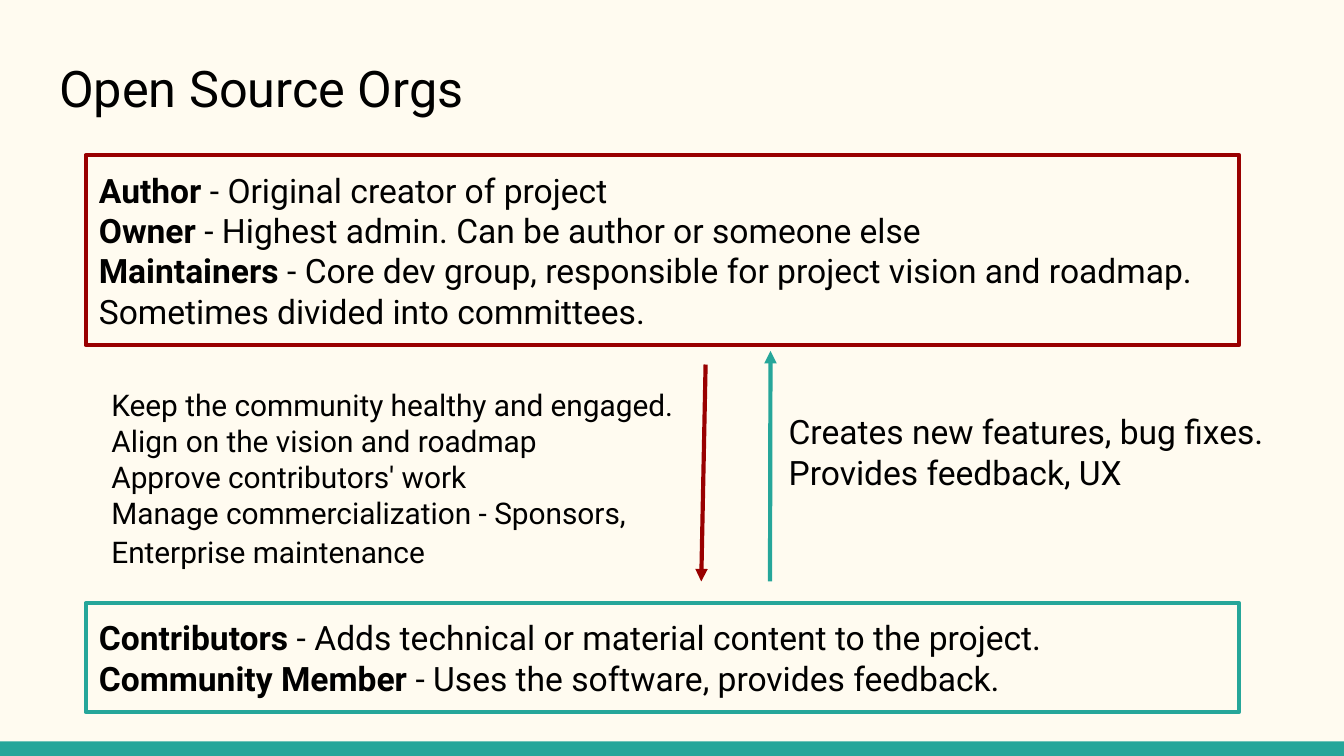
from dataclasses import dataclass

from lxml import etree
from pptx import Presentation
from pptx.dml.color import RGBColor
from pptx.enum.shapes import MSO_CONNECTOR, MSO_SHAPE
from pptx.enum.text import MSO_ANCHOR, MSO_AUTO_SIZE, PP_ALIGN
from pptx.oxml.ns import qn
from pptx.shapes.autoshape import Shape
from pptx.slide import Slide
from pptx.util import Pt

RECTANGLE = MSO_SHAPE.RECTANGLE
STRAIGHT = MSO_CONNECTOR.STRAIGHT
MIDDLE = MSO_ANCHOR.MIDDLE
TOP = MSO_ANCHOR.TOP
LEFT = PP_ALIGN.LEFT
FIT_SHAPE = MSO_AUTO_SIZE.SHAPE_TO_FIT_TEXT
FIXED = MSO_AUTO_SIZE.NONE


@dataclass(frozen=True)
class Theme:
    font: str = "Roboto"
    background: RGBColor = RGBColor(0xFF, 0xFB, 0xF0)
    ink: RGBColor = RGBColor(0, 0, 0)
    leaders: RGBColor = RGBColor(0x99, 0, 0)
    community: RGBColor = RGBColor(0x26, 0xA6, 0x9A)
    title_size: float = 27
    body_size: float = 18
    duty_size: float = 16
    inset: float = 7.2
    stroke: float = 2.25


@dataclass(frozen=True)
class Run:
    text: str
    size: float
    bold: bool = False


@dataclass(frozen=True)
class Area:
    left: float
    top: float
    width: float
    height: float


@dataclass(frozen=True)
class RoleGroup:
    area: Area
    color: RGBColor
    roles: list[tuple[str, str]]


@dataclass(frozen=True)
class Note:
    area: Area
    paragraphs: list[list[Run]]
    anchor: MSO_ANCHOR = TOP
    fit: MSO_AUTO_SIZE = FIT_SHAPE


@dataclass(frozen=True)
class Arrow:
    start: tuple[float, float]
    end: tuple[float, float]
    color: RGBColor


THEME = Theme()
BODY, DUTY = THEME.body_size, THEME.duty_size

ROLE_GROUPS = [
    RoleGroup(Area(45.9, 83.2, 618, 101.7), THEME.leaders, [
        ("Author ", "- Original creator of project"),
        ("Owner ", "- Highest admin. Can be author or someone else"),
        ("Maintainers ", "- Core dev group, responsible for project vision and "
                         "roadmap. Sometimes divided into committees."),
    ]),
    RoleGroup(Area(45.9, 323.2, 618, 58.2), THEME.community, [
        ("Contributors ", "- Adds technical or material content to the project."),
        ("Community Member ", "- Uses the software, provides feedback."),
    ]),
]

NOTES = [
    Note(Area(24.6, 23, 671, 48), [[Run("Open Source Orgs", THEME.title_size)]],
         MIDDLE, FIXED),
    Note(Area(415.4, 213.2, 289, 58.2), [
        [Run("Creates new features, bug fixes.", BODY)],
        [Run("Provides feedback, UX", BODY)],
    ]),
    Note(Area(52.6, 200, 316, 113.8), [
        [Run("Keep the community healthy and engaged.", DUTY)],
        [Run("Align on the vision and roadmap", DUTY)],
        [Run("Approve contributors' work", DUTY)],
        [Run("Manage commercialization - Sponsors, Enterprise maintenance", DUTY),
         Run(" ", BODY)],
    ]),
]

ARROWS = [
    Arrow((412.5, 311.5), (412.8, 188), THEME.community),
    Arrow((378, 195.3), (375.7, 311.5), THEME.leaders),
]


def write(target: Shape, paragraphs: list[list[Run]], anchor: MSO_ANCHOR,
          fit: MSO_AUTO_SIZE) -> None:
    frame = target.text_frame
    frame.word_wrap = True
    frame.auto_size = fit
    frame.vertical_anchor = anchor
    frame.margin_left = frame.margin_right = Pt(THEME.inset)
    frame.margin_top = frame.margin_bottom = Pt(THEME.inset)
    for index, runs in enumerate(paragraphs):
        paragraph = frame.add_paragraph() if index else frame.paragraphs[0]
        paragraph.alignment = LEFT
        for part in runs:
            run = paragraph.add_run()
            run.text = part.text
            run.font.name = THEME.font
            run.font.size = Pt(part.size)
            run.font.bold = part.bold
            run.font.color.rgb = THEME.ink


def add_rectangle(slide: Slide, area: Area) -> Shape:
    rectangle = slide.shapes.add_shape(
        RECTANGLE, Pt(area.left), Pt(area.top), Pt(area.width), Pt(area.height))
    rectangle.shadow.inherit = False
    return rectangle


def draw_footer(slide: Slide) -> None:
    footer = add_rectangle(slide, Area(0, 397.2, 720, 7.8))
    footer.fill.solid()
    footer.fill.fore_color.rgb = THEME.community
    footer.line.fill.background()


def draw_role_group(slide: Slide, group: RoleGroup) -> None:
    frame = add_rectangle(slide, group.area)
    frame.fill.background()
    frame.line.color.rgb = group.color
    frame.line.width = Pt(THEME.stroke)
    write(frame, [[Run(role, BODY, True), Run(meaning, BODY)]
                  for role, meaning in group.roles], MIDDLE, FIT_SHAPE)


def draw_note(slide: Slide, note: Note) -> None:
    area = note.area
    box = slide.shapes.add_textbox(
        Pt(area.left), Pt(area.top), Pt(area.width), Pt(area.height))
    write(box, note.paragraphs, note.anchor, note.fit)


def draw_arrow(slide: Slide, arrow: Arrow) -> None:
    connector = slide.shapes.add_connector(
        STRAIGHT, *map(Pt, arrow.start), *map(Pt, arrow.end))
    connector.line.color.rgb = arrow.color
    connector.line.width = Pt(THEME.stroke)
    properties = connector.element.spPr
    etree.SubElement(properties.find(qn("a:ln")), qn("a:tailEnd"), type="triangle")
    etree.SubElement(properties, qn("a:effectLst"))


def main() -> None:
    deck = Presentation()
    deck.slide_width, deck.slide_height = Pt(720), Pt(405)
    slide = deck.slides.add_slide(deck.slide_layouts[6])
    slide.background.fill.solid()
    slide.background.fill.fore_color.rgb = THEME.background
    draw_footer(slide)
    for group in ROLE_GROUPS:
        draw_role_group(slide, group)
    for arrow in ARROWS:
        draw_arrow(slide, arrow)
    for note in NOTES:
        draw_note(slide, note)
    deck.save("out.pptx")


if __name__ == "__main__":
    main()
